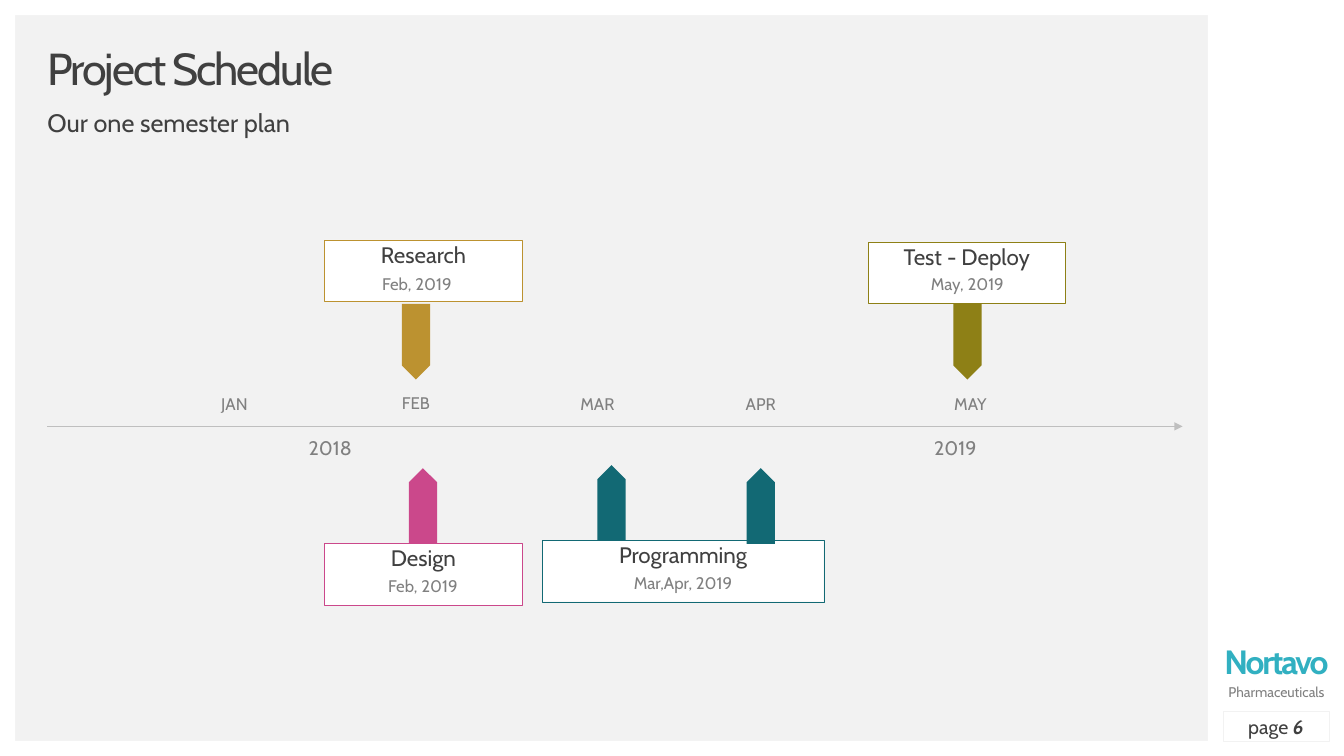
import pptx
import pptx.util
import pptx.dml.color
import pptx.enum.shapes
import pptx.enum.text
import pptx.oxml
import pptx.oxml.ns

Inches, Pt = pptx.util.Inches, pptx.util.Pt
SHAPE = pptx.enum.shapes.MSO_SHAPE
ALIGN = pptx.enum.text.PP_ALIGN
ANCHOR = pptx.enum.text.MSO_ANCHOR

COLORS = {
    "back": "F2F2F2", "white": "FFFFFF", "dark": "404040", "gray": "808080",
    "axis": "BFBFBF", "brand": "31B0C1", "pink": "CB488B", "gold": "BC9230",
    "teal": "126974", "olive": "8E8016",
}

# left, top, width, height
BARS = [(0, 0, 13.33, 0.15), (0, 0, 0.15, 7.5), (11.98, 0, 1.35, 7.5), (0, 7.35, 13.33, 0.15)]
# name, date, color, box left, top and width, date left and top
TASKS = [
    ("Design", "Feb, 2019", "pink", 3.22, 5.39, 1.96, 3.27, 5.73),
    ("Research", "Feb, 2019", "gold", 3.22, 2.38, 1.96, 3.21, 2.74),
    ("Programming", "Mar,Apr, 2019", "teal", 5.38, 5.36, 2.79, 5.85, 5.7),
    ("Test - Deploy", "May, 2019", "olive", 8.61, 2.4, 1.96, 8.67, 2.74),
]
# color, left, top, rotation
ARROWS = [
    ("pink", 3.82, 4.88, 270), ("gold", 3.75, 3.25, 90), ("teal", 5.69, 4.85, 270),
    ("teal", 7.17, 4.88, 270), ("olive", 9.22, 3.25, 90),
]
MONTHS = [("JAN", 2.12, 3.93), ("FEB", 3.92, 3.92), ("MAR", 5.72, 3.93),
          ("APR", 7.34, 3.93), ("MAY", 9.42, 3.93)]
YEARS = [("2018", 3.05), ("2019", 9.25)]


def rgb(name):
    return pptx.dml.color.RGBColor.from_string(COLORS[name])


def put(item, values):
    for key, value in values.items():
        setattr(item, key, value)


def place(shape, box):
    put(shape, dict(zip(("left", "top", "width", "height"), map(Inches, box))))


def write(shape, runs, align=ALIGN.CENTER, space=0.9, top=0, anchor=ANCHOR.TOP):
    """Fill one paragraph with (text, size, color, extra font values, tracking) runs."""
    frame = shape.text_frame
    put(frame, {"margin_left": 0, "margin_right": 0, "margin_bottom": 0,
                "margin_top": Inches(top), "word_wrap": True,
                "vertical_anchor": anchor, "auto_size": pptx.enum.text.MSO_AUTO_SIZE.NONE})
    para = frame.paragraphs[0]
    put(para, {"alignment": align, "line_spacing": space})
    for index, (text, size, color, extra, track) in enumerate(runs):
        if text.startswith("\n"):
            para.add_line_break()
        run = para.add_run()
        run.text = text.strip("\n")
        put(run.font, {"name": "Cabin", "size": Pt(size), **extra})
        run.font.color.rgb = rgb(color)
        if track:
            run.font._element.set("spc", str(track))


def label(slide, box, text, size, color="gray", **format):
    shape = slide.shapes.add_textbox(*map(Inches, box))
    write(shape, [(text, size, color, {}, 0)], **format)


def block(slide, box, fill=None, line=None, kind=SHAPE.RECTANGLE):
    shape = slide.shapes.add_shape(kind, *map(Inches, box))
    shape.shadow.inherit = False
    if fill:
        shape.fill.solid()
        shape.fill.fore_color.rgb = rgb(fill)
    else:
        shape.fill.background()
    if line:
        shape.line.color.rgb = rgb(line)
        shape.line.width = Pt(0.25)
    else:
        shape.line.fill.background()
    return shape


def axis(slide, left, right, y):
    line = slide.shapes.add_connector(
        pptx.enum.shapes.MSO_CONNECTOR.STRAIGHT, *map(Inches, (left, y, right, y)))
    line.line.color.rgb = rgb("axis")
    line.line.width = Pt(0.5)
    tail = pptx.oxml.parse_xml(
        f'<a:tailEnd {pptx.oxml.ns.nsdecls("a")} type="triangle"/>')
    line.line._get_or_add_ln().append(tail)
    line._element.spPr.append(
        pptx.oxml.parse_xml(f'<a:effectLst {pptx.oxml.ns.nsdecls("a")}/>'))


def task(slide, name, date, color, left, top, width, date_left, date_top):
    box = block(slide, (left, top, width, 0.61), "white", color)
    write(box, [(name, 16, "dark", {}, 0)], top=0.04)
    label(slide, (date_left, date_top, 1.85, 0.25), date, 12)


def arrow(slide, color, left, top, turn):
    shape = block(slide, (left, top, 0.75, 0.28), color, kind=SHAPE.PENTAGON)
    shape.rotation = turn


def brand(slide):
    name = slide.shapes.add_textbox(*map(Inches, (12.07, 6.56, 1.18, 0.39)))
    write(name, [("Nortavo", 24, "brand", {"bold": True}, -150),
                 ("\nPharmaceuticals", 10, "gray", {}, 0)], space=Pt(14))
    page = block(slide, (12.13, 7.06, 1.05, 0.29), line="back")
    write(page, [("page ", 14, "dark", {}, 0),
                 ("6", 14, "dark", {"bold": True, "italic": True}, 0)],
          space=1.0, anchor=ANCHOR.MIDDLE)


def main():
    deck = pptx.Presentation()
    put(deck, {"slide_width": Inches(13.33), "slide_height": Inches(7.5)})
    slide = deck.slides.add_slide(deck.slide_layouts[5])
    slide.background.fill.solid()
    slide.background.fill.fore_color.rgb = rgb("back")

    for bar in BARS:
        block(slide, bar, "white")
    title = slide.shapes.title
    place(title, (0.47, 0.47, 11.09, 0.47))
    write(title, [("Project Schedule", 32, "dark", {}, -150)],
          align=ALIGN.LEFT, anchor=ANCHOR.MIDDLE)
    label(slide, (0.47, 1.1, 11.09, 0.28), "Our one semester plan", 18, "dark",
          align=ALIGN.LEFT)

    axis(slide, 0.47, 11.73, 4.23)
    for text, left, top in MONTHS:
        label(slide, (left, top, 0.41, 0.22), text, 12)
    for text, left in YEARS:
        label(slide, (left, 4.35, 0.45, 0.22), text, 14, anchor=ANCHOR.MIDDLE)
    for item in TASKS:
        task(slide, *item)
    for item in ARROWS:
        arrow(slide, *item)
    brand(slide)
    deck.save("out.pptx")


if __name__ == "__main__":
    main()
